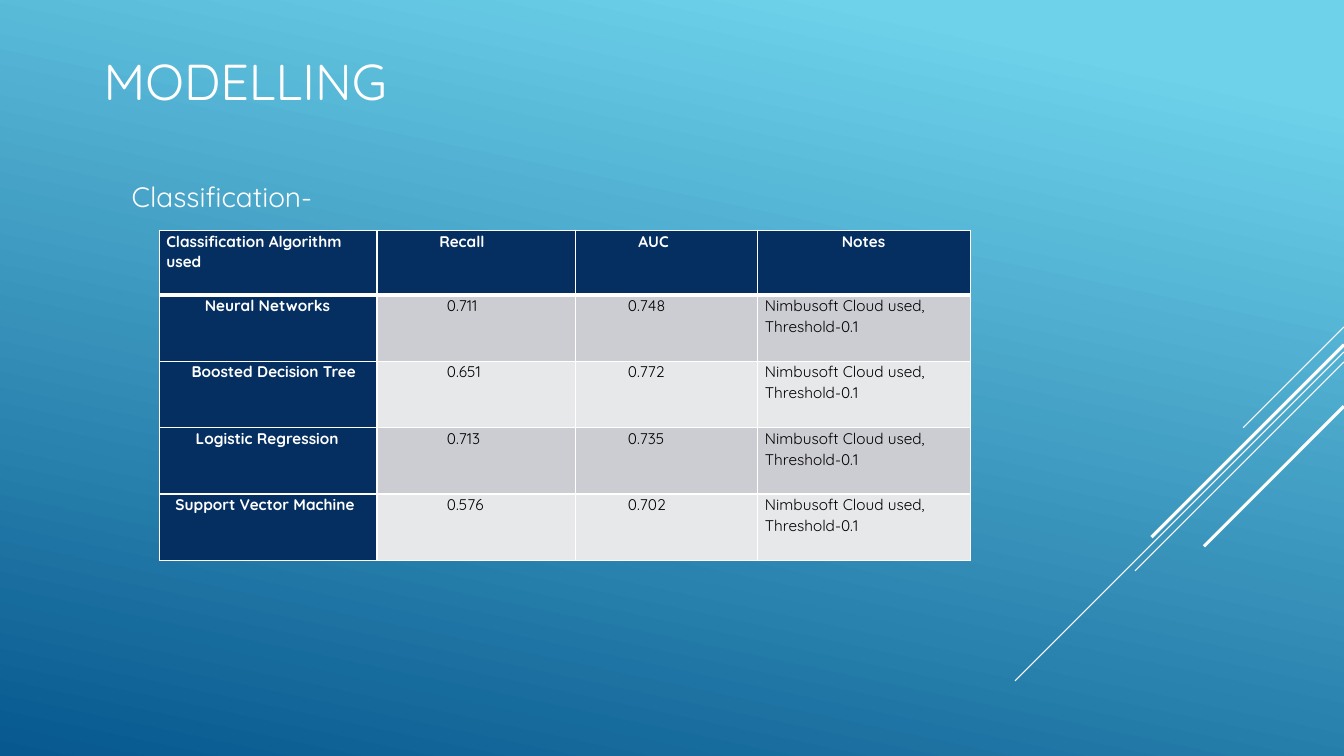
from lxml.etree import SubElement
from pptx import Presentation
from pptx.dml.color import RGBColor
from pptx.enum.shapes import MSO_CONNECTOR
from pptx.enum.text import MSO_ANCHOR
from pptx.oxml.ns import qn
from pptx.util import Pt

COLORS = {
    "white": "FFFFFF",
    "black": "000000",
    "navy": "052F61",
    "gray": "CCCDD2",
    "pale": "E7E8EA",
    "sky": "6ED2EB",
    "ocean": "06588E",
}
WIDTH, HEIGHT = 960, 540
INSET = 5
NOTE = "Nimbusoft Cloud used, Threshold-0.1"
HEADERS = [
    ("Classification Algorithm used", INSET),
    ("Recall", 44.5),
    ("AUC", 45),
    ("Notes", 60),
]
RESULTS = [
    ("Neural Networks", 32.5, "0.711", "0.748"),
    ("Boosted Decision Tree", 23, "0.651", "0.772"),
    ("Logistic Regression", 26, "0.713", "0.735"),
    ("Support Vector Machine", 11.5, "0.576", "0.702"),
]
COLUMN_WIDTHS = [155.5, 141.8, 130.3, 152]
ROW_HEIGHTS = [46] + [47.5] * len(RESULTS)
DIAGONALS = [
    (233.5, 72, 0.75),
    (251.4, 235, 0.75),
    (258.5, 149.3, 0.75),
    (246.2, 137.5, 2.25),
    (290.2, 100, 2.25),
]


class SlideBuilder:
    font_name = "Quicksand"

    def __init__(self, slide):
        self.slide = slide

    def color(self, name):
        return RGBColor.from_string(COLORS[name])

    def background(self, start, end, angle):
        fill = self.slide.background.fill
        fill.gradient()
        fill.gradient_angle = angle
        for stop, (position, name) in zip(fill.gradient_stops, (start, end)):
            stop.position = position
            stop.color.rgb = self.color(name)

    def add_text(self, paragraph, text, color, size, bold=False):
        run = paragraph.add_run()
        run.text = text
        values = {"name": self.font_name, "size": Pt(size), "bold": bold}
        for attribute, value in values.items():
            setattr(run.font, attribute, value)
        run.font.color.rgb = self.color(color)

    def text_box(self, text, left, top, width, height, size, anchor=MSO_ANCHOR.TOP):
        shape = self.slide.shapes.add_textbox(Pt(left), Pt(top), Pt(width), Pt(height))
        frame = shape.text_frame
        for attribute, value in {"word_wrap": True, "vertical_anchor": anchor}.items():
            setattr(frame, attribute, value)
        self.add_text(frame.paragraphs[0], text, "white", size)

    def diagonal(self, top, length, weight):
        connector = self.slide.shapes.add_connector(
            MSO_CONNECTOR.STRAIGHT, Pt(WIDTH), Pt(top), Pt(WIDTH - length), Pt(top + length)
        )
        connector.line.color.rgb = self.color("white")
        connector.line.width = Pt(weight)
        SubElement(connector._element.spPr, qn("a:effectLst"))

    def borders(self, cell, weights):
        properties = cell._tc.get_or_add_tcPr()
        for side, weight in weights.items():
            line = SubElement(properties, qn(f"a:ln{side}"), w=str(Pt(weight)))
            fill = SubElement(line, qn("a:solidFill"))
            SubElement(fill, qn("a:srgbClr"), val=COLORS["white"])

    def cell(self, cell, text, indent, fill, color, bold, weights):
        self.borders(cell, weights)
        cell.fill.solid()
        cell.fill.fore_color.rgb = self.color(fill)
        margins = {"left": indent, "right": INSET, "top": 0, "bottom": 0}
        for side, margin in margins.items():
            setattr(cell, f"margin_{side}", Pt(margin))
        paragraph = cell.text_frame.paragraphs[0]
        paragraph.line_spacing = 1.07
        self.add_text(paragraph, text, color, 11, bold)

    def table(self, rows, left, top):
        table = self.slide.shapes.add_table(
            len(rows), len(COLUMN_WIDTHS), Pt(left), Pt(top),
            Pt(sum(COLUMN_WIDTHS)), Pt(sum(ROW_HEIGHTS)),
        ).table
        for column, width in zip(table.columns, COLUMN_WIDTHS):
            column.width = Pt(width)
        for row, height in zip(table.rows, ROW_HEIGHTS):
            row.height = Pt(height)
        for row_index, row in enumerate(rows):
            weights = {
                "L": 1,
                "R": 1,
                "T": 3 if row_index == 1 else 1,
                "B": 3 if row_index == 0 else 1,
            }
            for column_index, (text, indent) in enumerate(row):
                heading = row_index == 0 or column_index == 0
                band = "gray" if row_index % 2 else "pale"
                self.cell(
                    table.cell(row_index, column_index), text, indent,
                    "navy" if heading else band,
                    "white" if heading else "black",
                    heading, weights,
                )


def main():
    presentation = Presentation()
    presentation.slide_width = Pt(WIDTH)
    presentation.slide_height = Pt(HEIGHT)
    builder = SlideBuilder(presentation.slides.add_slide(presentation.slide_layouts[6]))
    builder.background((0.1, "sky"), (1, "ocean"), 258)
    for top, length, weight in DIAGONALS:
        builder.diagonal(top, length, weight)
    builder.text_box("MODELLING", 67, 24.5, 672, 66, 36, MSO_ANCHOR.MIDDLE)
    rows = [HEADERS] + [
        [(name, indent), (recall, 50), (auc, 37.5), (NOTE, INSET)]
        for name, indent, recall, auc in RESULTS
    ]
    builder.table(rows, 113.8, 164.5)
    builder.text_box("Classification-", 87, 124.5, 217, 32, 20)
    presentation.save("out.pptx")


if __name__ == "__main__":
    main()
